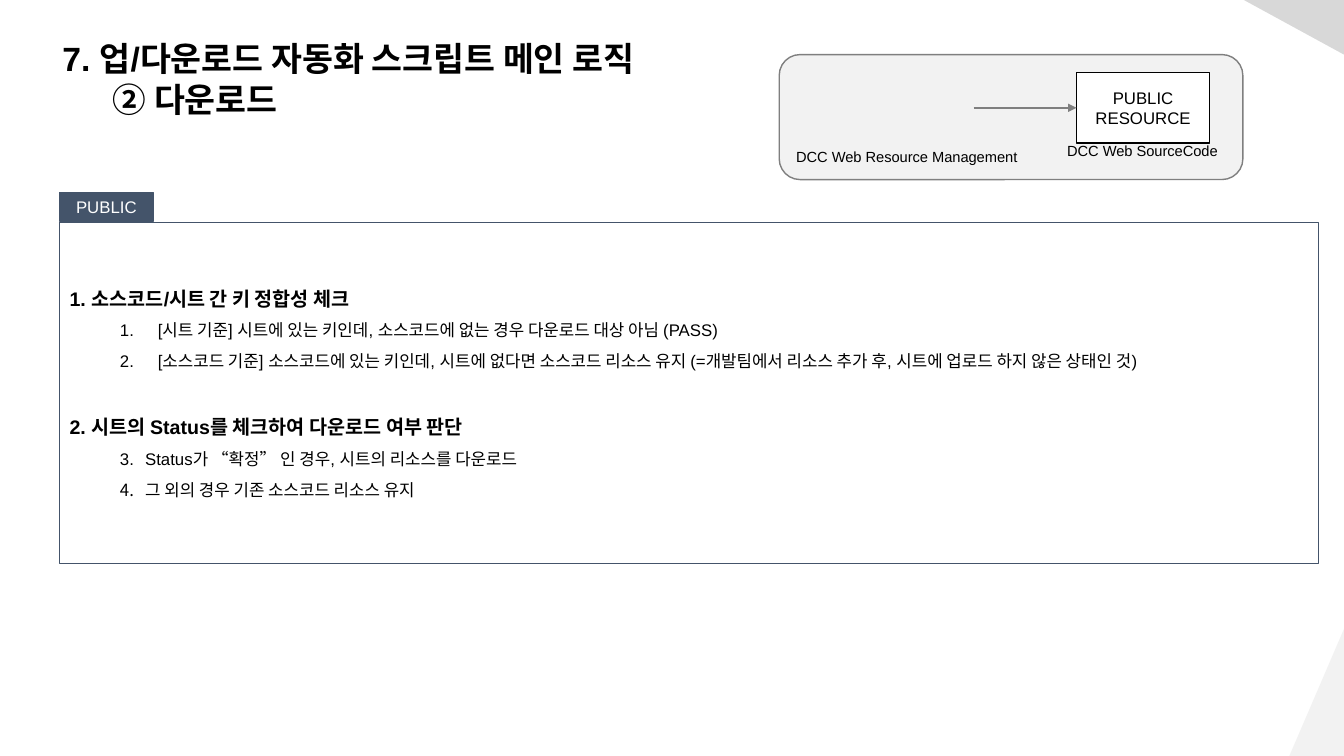
from pptx import Presentation
from pptx.dml.color import RGBColor
from pptx.enum.shapes import MSO_CONNECTOR, MSO_SHAPE
from pptx.enum.text import MSO_ANCHOR, MSO_AUTO_SIZE, PP_ALIGN
from pptx.oxml.ns import qn
from pptx.util import Pt
from lxml import etree

RECT = MSO_SHAPE.RECTANGLE
ROUNDED = MSO_SHAPE.ROUNDED_RECTANGLE
STRAIGHT = MSO_CONNECTOR.STRAIGHT
TOP, MIDDLE = MSO_ANCHOR.TOP, MSO_ANCHOR.MIDDLE
LEFT, CENTER = PP_ALIGN.LEFT, PP_ALIGN.CENTER
NO_FIT = MSO_AUTO_SIZE.NONE

WIDTH, HEIGHT = 960, 540
BLACK, WHITE, NAVY = "000000", "FFFFFF", "44546A"
GREY, PALE, SILVER = "7F7F7F", "F2F2F2", "D8D8D8"


def rgb(value):
    return RGBColor.from_string(value)


class SlideBuilder:
    font = "Arial"

    def __init__(self, slide):
        self.slide = slide

    def paint(self, sp, fill, line=None):
        sp.fill.solid()
        sp.fill.fore_color.rgb = rgb(fill)
        if line:
            sp.line.color.rgb = rgb(line)
            sp.line.width = Pt(1)
        else:
            sp.line.fill.background()

    def place(self, sp, box):
        sp.left, sp.top, sp.width, sp.height = map(Pt, box)

    def add_text(self, sp, text, size, color=BLACK, bold=False, align=LEFT, anchor=MIDDLE):
        tf = sp.text_frame
        tf.text = text
        tf.word_wrap = True
        tf.auto_size = NO_FIT
        tf.vertical_anchor = anchor
        for p in tf.paragraphs:
            p.alignment = align
            self.style(p, size, color, bold)
        return tf

    def style(self, p, size, color=BLACK, bold=False):
        for r in p.runs:
            r.font.name = self.font
            r.font.size = Pt(size)
            r.font.bold = bold
            r.font.color.rgb = rgb(color)

    def indent(self, p, left, first=0, number_from=None):
        pPr = p._p.get_or_add_pPr()
        pPr.set("marL", str(Pt(left)))
        pPr.set("indent", str(Pt(first)))
        if number_from is None:
            etree.SubElement(pPr, qn("a:buNone"))
        else:
            bullet = etree.SubElement(pPr, qn("a:buAutoNum"), type="arabicPeriod")
            bullet.set("startAt", str(number_from))

    def shape(self, kind, box, fill, line):
        sp = self.slide.shapes.add_shape(kind, *map(Pt, box))
        sp.shadow.inherit = False
        self.paint(sp, fill, line)
        return sp

    def label(self, box, text, align=LEFT):
        sp = self.slide.shapes.add_textbox(*map(Pt, box))
        self.add_text(sp, text, 10.5, align=align, anchor=TOP)

    def triangle(self, points, fill):
        start, *rest = [(Pt(x), Pt(y)) for x, y in points]
        builder = self.slide.shapes.build_freeform(*start)
        builder.add_line_segments(rest, close=True)
        sp = builder.convert_to_shape()
        sp.shadow.inherit = False
        self.paint(sp, fill)

    def arrow(self, x, y, target):
        line = self.slide.shapes.add_connector(STRAIGHT, Pt(x), Pt(y), target.left, Pt(y))
        line.end_connect(target, 1)
        line.line.color.rgb = rgb(GREY)
        line.line.width = Pt(1.5)
        etree.SubElement(line.line._get_or_add_ln(), qn("a:tailEnd"), type="triangle")
        etree.SubElement(line._element.spPr, qn("a:effectLst"))

    def title(self, box, text):
        sp = self.slide.shapes.title
        self.place(sp, box)
        tf = self.add_text(sp, text, 24, bold=True, anchor=TOP)
        self.indent(tf.paragraphs[1], 36)

    def steps(self, box, sections):
        sp = self.slide.placeholders[1]
        self.place(sp, box)
        self.paint(sp, WHITE, NAVY)
        lines = [line for heading, _, _, items in sections for line in (heading, *items)]
        paragraphs = iter(self.add_text(sp, "\n".join(lines), 12).paragraphs)
        for heading, (left, first), start, items in sections:
            p = next(paragraphs)
            p.space_before = Pt(0 if heading == lines[0] else 32)
            self.style(p, 14, bold=True)
            self.indent(p, 0)
            for _ in items:
                p = next(paragraphs)
                p.level = 1
                p.line_spacing = 1.5
                p.space_before = Pt(0)
                self.indent(p, left, first, start)


def main():
    prs = Presentation()
    prs.slide_width, prs.slide_height = Pt(WIDTH), Pt(HEIGHT)
    s = SlideBuilder(prs.slides.add_slide(prs.slide_layouts[1]))

    # Corner decoration
    s.triangle([(921, HEIGHT), (WIDTH, HEIGHT), (WIDTH, 449.3)], PALE)
    s.triangle([(888.5, 0), (WIDTH, 0), (WIDTH, 39)], SILVER)

    # Title
    s.title((37.4, 23.8, 705, 65.5), "7. 업/다운로드 자동화 스크립트 메인 로직\n② 다운로드")

    # Download rules with their tag
    s.steps((42.5, 159, 899.3, 243.4), [
        ("1. 소스코드/시트 간 키 정합성 체크", (63, -27), 1, [
            "[시트 기준] 시트에 있는 키인데, 소스코드에 없는 경우 다운로드 대상 아님 (PASS)",
            "[소스코드 기준] 소스코드에 있는 키인데, 시트에 없다면 소스코드 리소스 유지 "
            "(=개발팀에서 리소스 추가 후, 시트에 업로드 하지 않은 상태인 것)",
        ]),
        ("2. 시트의 Status를 체크하여 다운로드 여부 판단", (54, -18), 3, [
            "Status가 “확정” 인 경우, 시트의 리소스를 다운로드",
            "그 외의 경우 기존 소스코드 리소스 유지",
        ]),
    ])
    tag = s.shape(RECT, (42.5, 137.5, 67, 20.5), NAVY, NAVY)
    s.add_text(tag, "PUBLIC", 12, WHITE, align=CENTER)

    # Resource flow panel
    s.shape(ROUNDED, (556.6, 39, 331.2, 89.3), PALE, GREY)
    resource = s.shape(RECT, (769, 51.8, 95, 50.4), WHITE, BLACK)
    s.add_text(resource, "PUBLIC\nRESOURCE", 12, align=CENTER)
    s.label((754.6, 98, 123, 32.4), "DCC Web SourceCode", CENTER)
    s.label((561.6, 102.2, 176.4, 20.2), "DCC Web Resource Management")
    s.arrow(695.5, 77, resource)

    prs.save("out.pptx")


if __name__ == "__main__":
    main()
